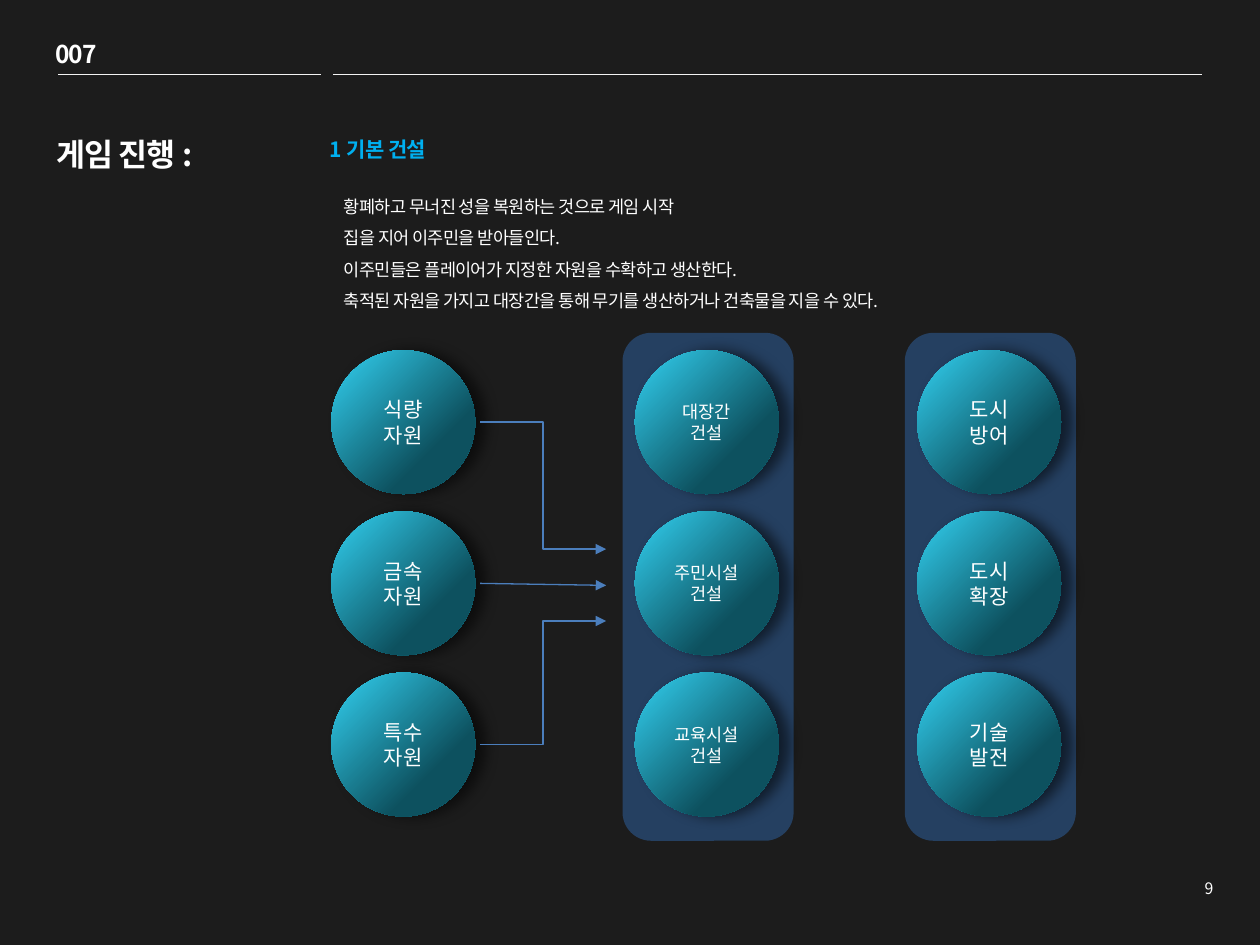
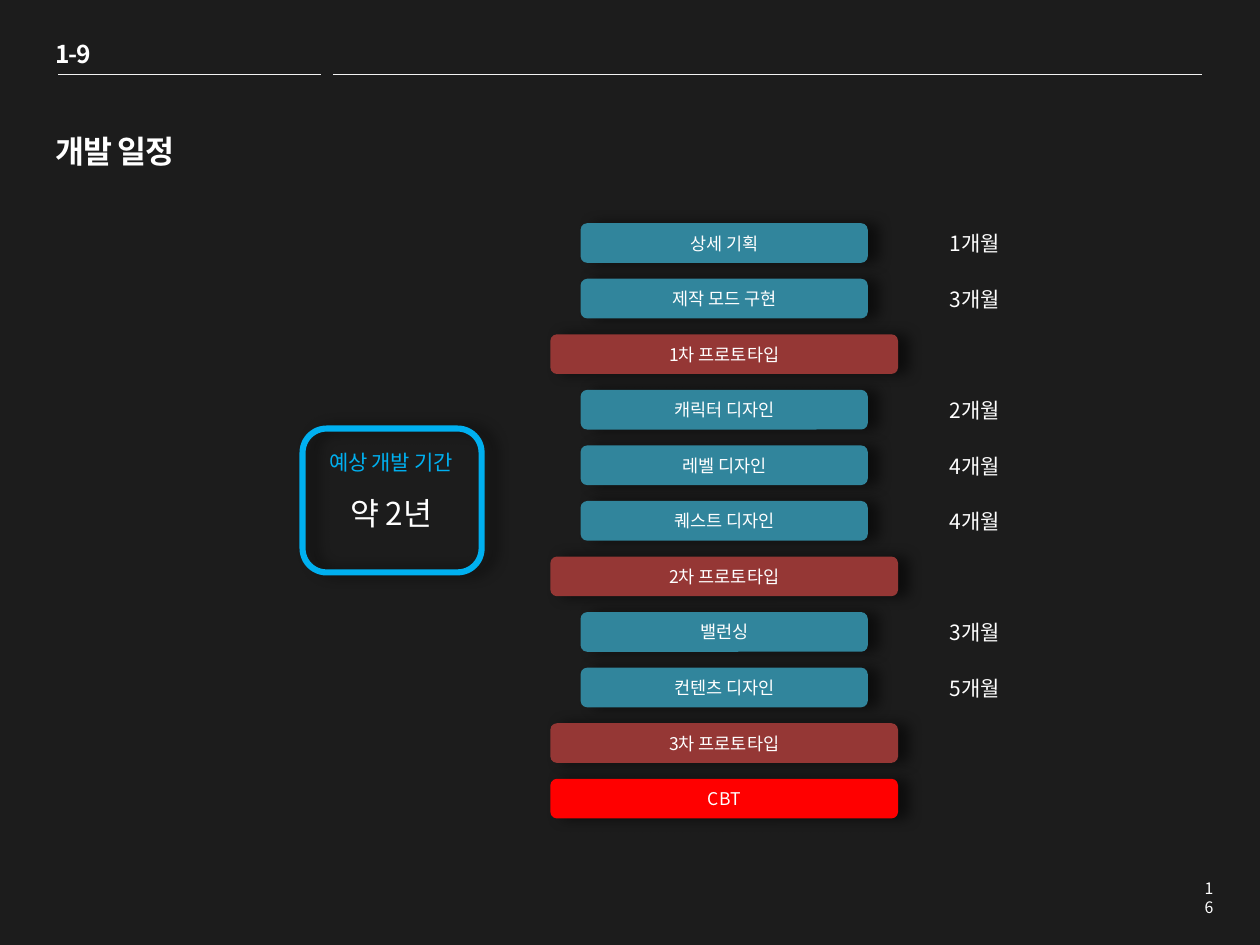
from lxml.etree import SubElement
from pptx import Presentation
from pptx.dml.color import RGBColor
from pptx.enum.shapes import MSO_CONNECTOR, MSO_SHAPE
from pptx.enum.text import MSO_ANCHOR, PP_ALIGN
from pptx.oxml.ns import qn
from pptx.util import Cm, Pt

# Shared look
FONT = "Noto Sans CJK KR"
DARK, WHITE, RULE, ACCENT = "1C1C1C", "FFFFFF", "F2F2F2", "00B0F0"
PANEL, ARROW = "254061", "4B7EBC"
CIRCLE_STOPS = [(1, "78DCF0"), (5, "30C9E8"), (70, "0D515F")]
HEADER_RULES = [(1.17, 6.48), (6.71, 24.23)]

# Slide 1 content
BUILD_LINES = [
    "황폐하고 무너진 성을 복원하는 것으로 게임 시작",
    "집을 지어 이주민을 받아들인다.",
    "이주민들은 플레이어가 지정한 자원을 수확하고 생산한다.",
    "축적된 자원을 가지고 대장간을 통해 무기를 생산하거나 건축물을 지을 수 있다.",
]
# left edge, text size, on a panel, labels from top to bottom
CIRCLE_COLUMNS = [
    (6.68, 12, False, [("식량", "자원"), ("금속", "자원"), ("특수", "자원")]),
    (12.8, 10, True, [("대장간", "건설"), ("주민시설", "건설"), ("교육시설", "건설")]),
    (18.49, 12, True, [("도시", "방어"), ("도시", "확장"), ("기술", "발전")]),
]
CIRCLE_SIZE, CIRCLE_TOP, CIRCLE_PITCH = 2.9, 7.06, 3.25
ARROW_ENDS = [11.07, 11.8, 12.52]

# Slide 2 content: bar kind, label, duration
SCHEDULE = [
    ("task", "상세 기획", "1개월"),
    ("task", "제작 모드 구현", "3개월"),
    ("prototype", "1차 프로토타입", None),
    ("task", "캐릭터 디자인", "2개월"),
    ("task", "레벨 디자인", "4개월"),
    ("task", "퀘스트 디자인", "4개월"),
    ("prototype", "2차 프로토타입", None),
    ("task", "밸런싱", "3개월"),
    ("task", "컨텐츠 디자인", "5개월"),
    ("prototype", "3차 프로토타입", None),
    ("release", "CBT", None),
]
BAR_STYLES = {"task": (5.79, "31859C"), "prototype": (7.01, "953735"),
              "release": (7.01, "FF0000")}
BAR_CENTER, BAR_TOP, BAR_PITCH, BAR_HEIGHT = 14.6, 4.5, 1.12, 0.8


def rgb(value):
    return RGBColor.from_string(value)


def add_color(parent, value):
    return SubElement(parent, qn("a:srgbClr"), val=value)


def write(paragraph, text, size, color=WHITE, bold=False, spacing=0,
          align=PP_ALIGN.LEFT):
    paragraph.alignment = align
    run = paragraph.add_run()
    run.text = text
    font = run.font
    font.name, font.size, font.bold = FONT, Pt(size), bold
    font.color.rgb = rgb(color)
    properties = run._r.get_or_add_rPr()
    SubElement(properties, qn("a:ea"), typeface=FONT)
    if spacing:
        properties.set("spc", str(round(spacing * 100)))


def write_lines(frame, lines, size, line_spacing=None, **style):
    frame.word_wrap = True
    for index, line in enumerate(lines):
        paragraph = frame.add_paragraph() if index else frame.paragraphs[0]
        paragraph.line_spacing = line_spacing
        write(paragraph, line, size, **style)


def add_text(slide, box, lines, size, **style):
    shape = slide.shapes.add_textbox(*map(Cm, box))
    write_lines(shape.text_frame, lines, size, **style)
    return shape


def add_shape(slide, kind, box, fill=None, lines=(), size=10, shadow=True):
    shape = slide.shapes.add_shape(kind, *map(Cm, box))
    if fill:
        shape.fill.solid()
        shape.fill.fore_color.rgb = rgb(fill)
    else:
        shape.fill.background()
    shape.line.fill.background()
    shape.shadow.inherit = False
    if shadow:
        effects = shape._element.spPr.find(qn("a:effectLst"))
        outer = SubElement(effects, qn("a:outerShdw"), blurRad=str(Pt(8)),
                           dist=str(Pt(6)), dir="0", algn="l", rotWithShape="0")
        SubElement(add_color(outer, "000000"), qn("a:alpha"), val="55000")
    shape.text_frame.vertical_anchor = MSO_ANCHOR.MIDDLE
    write_lines(shape.text_frame, lines, size, align=PP_ALIGN.CENTER)
    return shape


def add_circle(slide, left, top, lines, size):
    circle = add_shape(slide, MSO_SHAPE.OVAL, (left, top, CIRCLE_SIZE, CIRCLE_SIZE),
                       lines=lines, size=size)
    circle.fill.gradient()
    circle.fill.gradient_angle = 315
    stops = circle._element.spPr.find(qn("a:gradFill")).find(qn("a:gsLst"))
    for stop in list(stops):
        stops.remove(stop)
    for position, color in CIRCLE_STOPS:
        add_color(SubElement(stops, qn("a:gs"), pos=str(position * 1000)), color)


def add_line(slide, start, end, color, width, kind=MSO_CONNECTOR.STRAIGHT, arrow=False):
    connector = slide.shapes.add_connector(kind, *map(Cm, start + end))
    connector.line.color.rgb = rgb(color)
    connector.line.width = Pt(width)
    if arrow:
        SubElement(connector.line._get_or_add_ln(), qn("a:tailEnd"), type="triangle")
    SubElement(connector._element.spPr, qn("a:effectLst"))


def add_slide(presentation, number, page, title, title_at):
    slide = presentation.slides.add_slide(presentation.slide_layouts[6])
    slide.background.fill.solid()
    slide.background.fill.fore_color.rgb = rgb(DARK)
    add_text(slide, (0.86, 0.66, 3, 0.86), [number], 14, bold=True, spacing=-0.5)
    for left, right in HEADER_RULES:
        add_line(slide, (left, 1.5), (right, 1.5), RULE, 0.25)
    add_text(slide, (24, 17.6, 0.71, 0.64), [page], 9, align=PP_ALIGN.RIGHT)
    add_text(slide, (*title_at, 5.59, 4.09), [title], 18, bold=True, spacing=-0.5)
    return slide


def build_progress(presentation):
    slide = add_slide(presentation, "007", "9", "게임 진행 :", (0.89, 2.59))
    add_text(slide, (6.4, 2.62, 7.19, 0.76), ["1 기본 건설"], 12,
             color=ACCENT, bold=True, spacing=-0.3)
    add_text(slide, (6.68, 3.61, 16, 3.45), BUILD_LINES, 10,
             line_spacing=1.5, spacing=-0.3)

    # Columns of circles
    for left, size, on_panel, labels in CIRCLE_COLUMNS:
        if on_panel:
            add_shape(slide, MSO_SHAPE.ROUNDED_RECTANGLE,
                      (left - 0.25, CIRCLE_TOP - 0.35, 3.45, 10.24), PANEL, shadow=False)
        for row, lines in enumerate(labels):
            add_circle(slide, left, CIRCLE_TOP + row * CIRCLE_PITCH, lines, size)

    # Arrows from resources to buildings
    for row, end in enumerate(ARROW_ENDS):
        middle = CIRCLE_TOP + CIRCLE_SIZE / 2 + row * CIRCLE_PITCH
        kind = MSO_CONNECTOR.STRAIGHT if row == 1 else MSO_CONNECTOR.ELBOW
        add_line(slide, (9.68, middle), (12.22, end), ARROW, 0.75, kind, arrow=True)


def build_schedule(presentation):
    slide = add_slide(presentation, "1-9", "16", "개발 일정", (0.86, 2.54))

    # Schedule bars and durations
    for row, (kind, label, duration) in enumerate(SCHEDULE):
        width, color = BAR_STYLES[kind]
        top = BAR_TOP + row * BAR_PITCH
        add_shape(slide, MSO_SHAPE.ROUNDED_RECTANGLE,
                  (BAR_CENTER - width / 2, top, width, BAR_HEIGHT), color, [label])
        if duration:
            add_text(slide, (18.9, top + 0.03, 3.61, 0.76), [duration], 12, spacing=-0.2)

    # Total period
    period = add_text(slide, (5.69, 8.94, 4.39, 2.06), ["예상 개발 기간"], 12,
                      color=ACCENT, spacing=-0.2, align=PP_ALIGN.CENTER)
    total = period.text_frame.add_paragraph()
    total.space_before = Pt(11)
    write(total, "약 2년", 18, spacing=-0.2, align=PP_ALIGN.CENTER)
    frame = add_shape(slide, MSO_SHAPE.ROUNDED_RECTANGLE, (6.1, 8.64, 3.61, 2.9))
    frame.line.color.rgb = rgb(ACCENT)
    frame.line.width = Pt(3.5)


def main():
    presentation = Presentation()
    presentation.slide_width, presentation.slide_height = Cm(25.4), Cm(19.05)
    build_progress(presentation)
    build_schedule(presentation)
    presentation.save("out.pptx")


if __name__ == "__main__":
    main()
